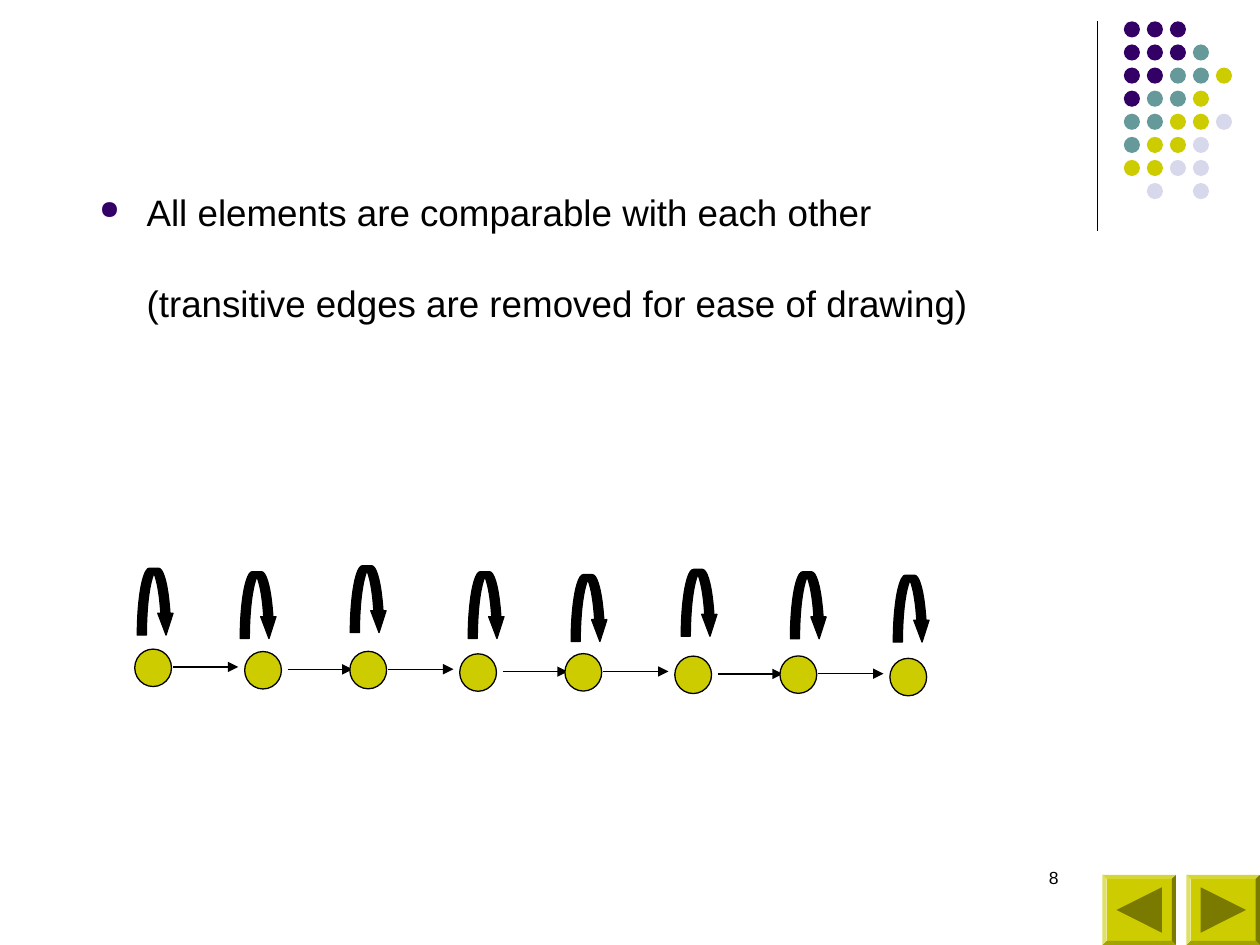
from dataclasses import dataclass
from lxml.etree import SubElement
from pptx import Presentation
from pptx.dml.color import RGBColor as RGB
from pptx.enum.shapes import MSO_CONNECTOR as LINE, MSO_SHAPE as SHAPE
from pptx.enum.text import PP_ALIGN as ALIGN
from pptx.oxml.ns import qn
from pptx.util import Pt


@dataclass(frozen=True)
class Theme:
    font: str = "Arial"
    body_size: float = 21
    number_size: float = 10
    line_width: float = 0.75
    ink: str = "000000"
    purple: str = "330066"
    teal: str = "669999"
    olive: str = "CCCC00"
    dark_olive: str = "7A7A00"
    lavender: str = "D8D8EC"


theme = Theme()
deck = Presentation()
deck.slide_width, deck.slide_height = Pt(720), Pt(540)
page = deck.slides.add_slide(deck.slide_layouts[6])
shapes = page.shapes


def paint(shape, fill, outline=None):
    shape.shadow.inherit = False
    shape.fill.solid()
    shape.fill.fore_color.rgb = RGB.from_string(fill)
    if outline:
        shape.line.color.rgb = RGB.from_string(outline)
        shape.line.width = Pt(theme.line_width)
    else:
        shape.line.fill.background()


def add_line(x1, y1, x2, y2, arrow=False):
    line = shapes.add_connector(LINE.STRAIGHT, Pt(x1), Pt(y1), Pt(x2), Pt(y2))
    line.line.color.rgb = RGB.from_string(theme.ink)
    line.line.width = Pt(theme.line_width)
    if arrow:
        SubElement(line.line._get_or_add_ln(), qn("a:tailEnd"), type="triangle")
    SubElement(line._element.spPr, qn("a:effectLst"))


# Corner rule and dot pattern
add_line(627.1, 12, 627.1, 132)
dot_colours = {"P": theme.purple, "T": theme.teal,
               "O": theme.olive, "L": theme.lavender}
dot_rows = ["PPP", "PPPT", "PPTTO", "PTTO", "TTOOL", "TOOL", "OOLL", " L L"]
for row, codes in enumerate(dot_rows):
    for column, code in enumerate(codes):
        if code in dot_colours:
            dot = shapes.add_shape(SHAPE.OVAL, Pt(642.2 + 13.15 * column),
                                   Pt(12.2 + 13.2 * row), Pt(9.2), Pt(9.2))
            paint(dot, dot_colours[code])

# Navigation buttons: base and tip of each triangle are offsets from the left
for left, base, tip in [(678, 8, 34), (630, 34, 8)]:
    button = shapes.add_shape(SHAPE.BEVEL, Pt(left), Pt(499.9), Pt(42), Pt(40.1))
    button.adjustments[0] = 0.06
    paint(button, theme.olive)
    outline = shapes.build_freeform(Pt(left + base), Pt(507))
    outline.add_line_segments([(Pt(left + tip), Pt(520)),
                               (Pt(left + base), Pt(533))])
    paint(outline.convert_to_shape(), theme.dark_olive)

# Body text and slide number
body_lines = ["All elements are comparable with each other",
              "(transitive edges are removed for ease of drawing)"]
body = {"left": 49.7, "top": 103, "width": 534.3, "height": 96.5}
number = {"left": 516, "top": 492, "width": 96, "height": 36}
for place, lines, size, align, inset in [
        (body, body_lines, theme.body_size, ALIGN.LEFT, 5.4),
        (number, ["8"], theme.number_size, ALIGN.RIGHT, 3.6)]:
    box = shapes.add_textbox(*(Pt(length) for length in place.values()))
    frame = box.text_frame
    frame.word_wrap = True
    frame.margin_top = Pt(inset)
    for index, line in enumerate(lines):
        para = frame.add_paragraph() if index else frame.paragraphs[0]
        para.alignment = align
        if index:
            para.space_before = Pt(26.7)
        if place is body:
            props = para._p.get_or_add_pPr()
            props.set("marL", str(Pt(27)))
            if index == 0:
                props.set("indent", str(Pt(-27)))
                colour = SubElement(props, qn("a:buClr"))
                SubElement(colour, qn("a:srgbClr"), val=theme.purple)
                SubElement(props, qn("a:buSzPct"), val="70000")
                SubElement(props, qn("a:buChar"), char="●")
        span = para.add_run()
        span.text = line
        for name, value in {"name": theme.font, "size": Pt(size)}.items():
            setattr(span.font, name, value)
        span.font.color.rgb = RGB.from_string(theme.ink)

# Chain: nodes come in pairs, the second of each set slightly lower
nodes = []
for index in range(8):
    pair, second = divmod(index, 2)
    nodes.append((77 + 122.9 * pair + 62.8 * second,
                  370.9 + 1.3 * pair + 1.4 * second))

for index, (x, y) in enumerate(nodes[:-1]):
    start = x + (24.5 if index % 2 else 22)
    level = y + 10.2
    add_line(start, level, start + 37.2, level, arrow=True)

for x, y in nodes:
    node = shapes.add_shape(SHAPE.OVAL, Pt(x), Pt(y), Pt(21), Pt(21.4))
    paint(node, theme.olive, theme.ink)

# Self-loops above the nodes
loop_places = [(78.5, 324.7), (137.3, 326.7), (200.2, 323.3), (267.6, 326.7),
               (326.4, 328.4), (389.3, 325.4), (451.7, 326.8), (510.5, 328.7)]
for x, y in loop_places:
    loop = shapes.add_shape(SHAPE.CURVED_DOWN_ARROW, Pt(x), Pt(y),
                            Pt(20.8), Pt(38.2))
    for index, value in enumerate([0.25, 0.42, 0.6]):
        loop.adjustments[index] = value
    paint(loop, theme.ink, theme.ink)

deck.save("out.pptx")
